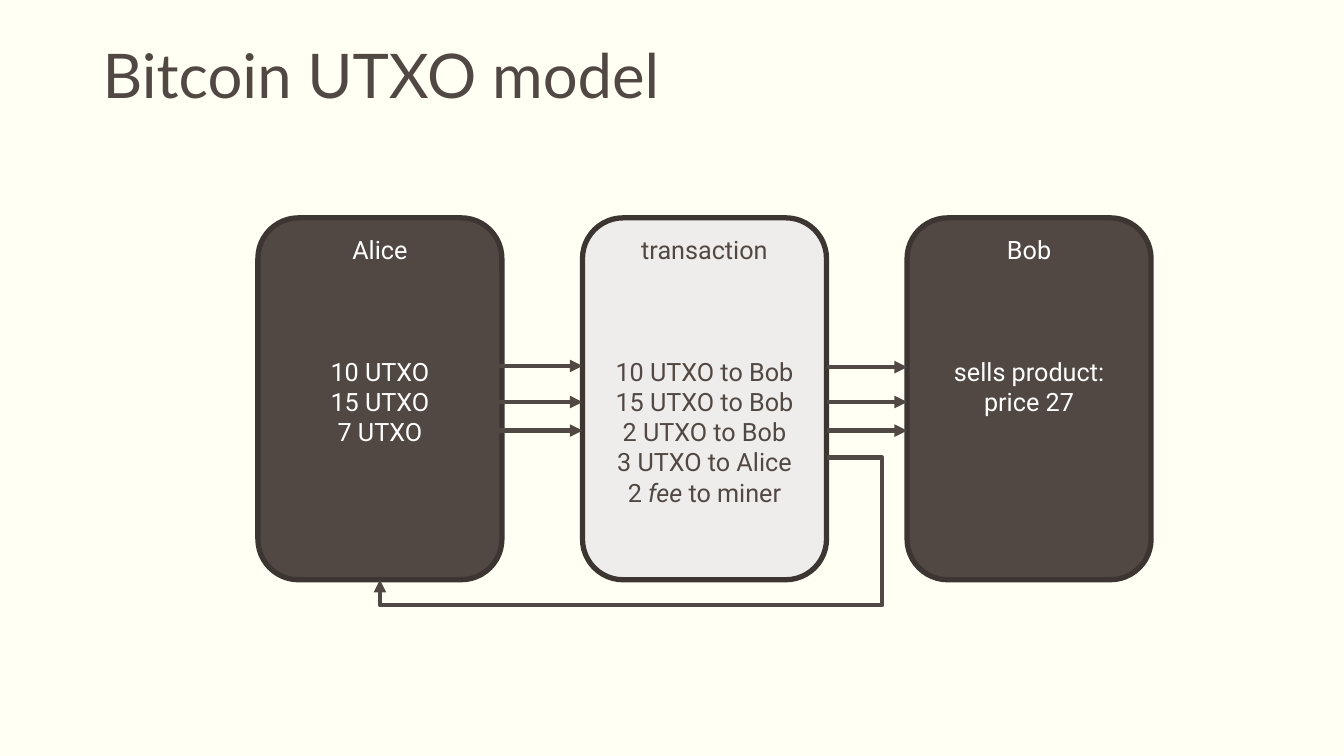
"""Build the slide that shows how coins move from Alice to Bob."""
import pptx
import pptx.dml.color
import pptx.enum.shapes
import pptx.enum.text
import pptx.oxml
import pptx.oxml.ns
import pptx.util

Cm = pptx.util.Cm
Pt = pptx.util.Pt
kinds = pptx.enum.shapes.MSO_CONNECTOR
dark, edge, pale, white = "514843", "3C3532", "EEEDEC", "FFFFFF"


def paint(fill, hue):
    fill.solid()
    fill.fore_color.rgb = pptx.dml.color.RGBColor.from_string(hue)


def write(para, text, hue, style):
    for spot, part in enumerate(text.split("*")):
        run = para.add_run()
        run.text = part
        paint(run.font.fill, hue)
        for name, value in style.items():
            setattr(run.font, name, value)
        if spot % 2:
            run.font.italic = True


deck = pptx.Presentation()
deck.slide_width, deck.slide_height = Cm(33.87), Cm(19.05)
slide = deck.slides.add_slide(deck.slide_layouts[6])
paint(slide.background.fill, "FFFFF3")

title = slide.shapes.add_textbox(Cm(2.34), Cm(1.02), Cm(29.21), Cm(3.68))
title.text_frame.word_wrap = True
head = title.text_frame.paragraphs[0]
head.line_spacing = 0.9
write(head, "Bitcoin UTXO model", dark, {"name": "Lato", "size": Pt(44)})

left, top, wide, high, step = 6.5, 5.49, 6.15, 9.12, 8.18
body = {"name": "Roboto", "size": Pt(18)}
frame = {"word_wrap": True, "vertical_anchor": pptx.enum.text.MSO_ANCHOR.TOP}
cards = [
    ("Alice", dark, white, ["10 UTXO", "15 UTXO", "7 UTXO"]),
    ("transaction", pale, dark, ["10 UTXO to Bob", "15 UTXO to Bob", "2 UTXO to Bob",
                                 "3 UTXO to Alice", "2 *fee* to miner"]),
    ("Bob", dark, white, ["sells product:", "price 27"]),
]
boxes = []
for col, (owner, back, ink, items) in enumerate(cards):
    box = slide.shapes.add_shape(
        pptx.enum.shapes.MSO_SHAPE.ROUNDED_RECTANGLE,
        Cm(left + col * step), Cm(top), Cm(wide), Cm(high))
    box.shadow.inherit = False
    paint(box.fill, back)
    paint(box.line.fill, edge)
    box.line.width = Pt(3.78)
    for name, value in frame.items():
        setattr(box.text_frame, name, value)
    for row, text in enumerate([owner] + items):
        para = box.text_frame.add_paragraph() if row else box.text_frame.paragraphs[0]
        para.alignment = pptx.enum.text.PP_ALIGN.CENTER
        if row == 1:
            para.space_before = Pt(65)
        write(para, text, ink, body)
    boxes.append(box)

mid = left + step
out = mid + wide
links = [(kinds.STRAIGHT, 11.1, y, mid, y) for y in (9.22, 10.13, 10.85)]
links += [(kinds.STRAIGHT, out, y, left + 2 * step, y) for y in (9.25, 10.13, 10.85)]
links.append((kinds.ELBOW, out, 11.53, left + wide / 2, top + high))
for kind, *ends in links:
    link = slide.shapes.add_connector(kind, *map(Cm, ends))
    paint(link.line.fill, dark)
    link.line.width = Pt(3)
    props = link.element.spPr
    stroke = props.find(pptx.oxml.ns.qn("a:ln"))
    tip = pptx.oxml.parse_xml(f'<a:tailEnd {pptx.oxml.ns.nsdecls("a")} type="triangle"/>')
    stroke.append(tip)
    props.append(pptx.oxml.parse_xml(f'<a:effectLst {pptx.oxml.ns.nsdecls("a")}/>'))

change = link
change.end_connect(boxes[0], 2)
shape = change.element.spPr.find(pptx.oxml.ns.qn("a:prstGeom"))
shape.set("prst", "bentConnector4")
bends = pptx.oxml.parse_xml(
    f'<a:avLst {pptx.oxml.ns.nsdecls("a")}><a:gd name="adj1" fmla="val -12500"/>'
    '<a:gd name="adj2" fmla="val 120700"/></a:avLst>')
for old in list(shape):
    shape.remove(old)
shape.append(bends)
place = change.element.spPr.find(pptx.oxml.ns.qn("a:xfrm"))
for name, value in {"rot": "10800000", "flipH": "0", "flipV": "1"}.items():
    place.set(name, value)

deck.save("out.pptx")
